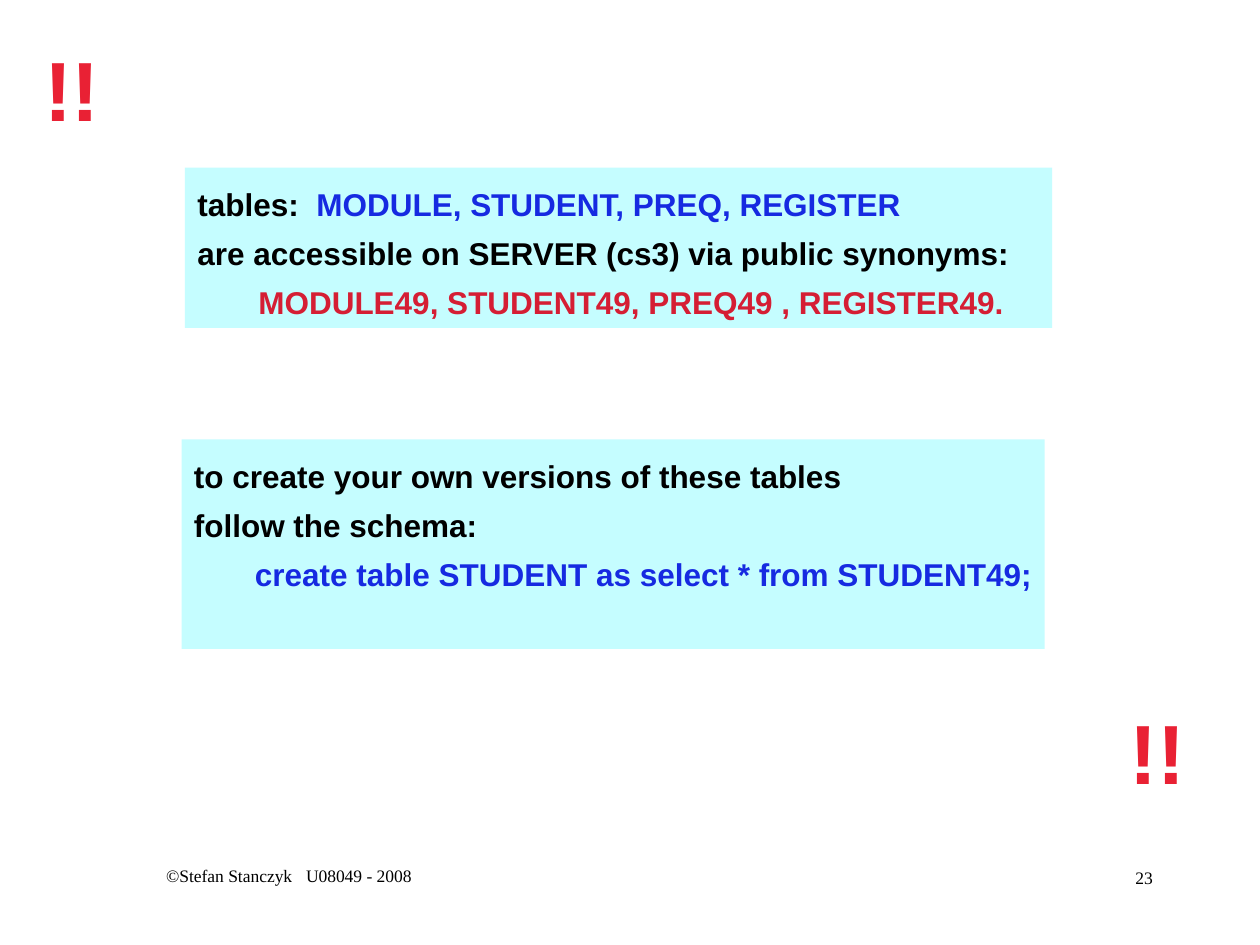
import pptx
import pptx.util
import pptx.dml.color
import pptx.enum.shapes
import pptx.enum.text
import lxml.etree
from pptx.util import Cm

BLACK, BLUE, RED, MARK, PALE = "000000", "162AE1", "D51E34", "E92134", "C5FDFF"
LEFT = pptx.enum.text.PP_ALIGN.LEFT
RIGHT = pptx.enum.text.PP_ALIGN.RIGHT

# Content: each line is (indent in cm, tab stop in cm, [(text, colour), ...])
panels = [
    ((3.73, 3.38, 17.48, 3.23), [
        (0, 2.4, [("tables:\t", BLACK), ("MODULE, STUDENT, PREQ, REGISTER", BLUE)]),
        (0, 0, [("are accessible on SERVER (cs3) via public synonyms:", BLACK)]),
        (1.23, 0, [("MODULE49, STUDENT49, PREQ49 , REGISTER49.", RED)]),
    ]),
    ((3.66, 8.86, 17.4, 4.22), [
        (0, 0, [("to create your own versions of these tables", BLACK)]),
        (0, 0, [("follow the schema:", BLACK)]),
        (1.23, 0, [("create table STUDENT as select * from STUDENT49;", BLUE)]),
    ]),
]
marks = [(0.64, 0.64, 1.63, 2.29), (22.53, 14, 1.63, 2.29)]
footers = [
    ((3.1, 17.32, 6.75, 1.27), 2.82, "©Stefan Stanczyk\tU08049 - 2008", LEFT),
    ((18.21, 17.35, 5.28, 1.27), 0, "23", RIGHT),
]


def color(code):
    return pptx.dml.color.RGBColor.from_string(code)


def style(run, font, size, code, bold=False):
    run.font.name = font
    run.font.size = pptx.util.Pt(size)
    run.font.bold = bold
    run.font.color.rgb = color(code)


def add_tab(para, stop):
    if stop:
        ns = "{http://schemas.openxmlformats.org/drawingml/2006/main}"
        tabs = lxml.etree.SubElement(para._p.get_or_add_pPr(), ns + "tabLst")
        lxml.etree.SubElement(tabs, ns + "tab", pos=str(Cm(stop)), algn="l")


def add_text(place, text, font, size, code, bold=False, stop=0, align=LEFT, wrap=True):
    frame = slide.shapes.add_textbox(*map(Cm, place)).text_frame
    frame.word_wrap = wrap
    para = frame.paragraphs[0]
    para.text = text
    add_tab(para, stop)
    para.alignment = align
    style(para.runs[0], font, size, code, bold)


def add_panel(place, lines):
    kind = pptx.enum.shapes.MSO_SHAPE.RECTANGLE
    panel = slide.shapes.add_shape(kind, *map(Cm, place))
    panel.shadow.inherit = False
    panel.fill.solid()
    panel.fill.fore_color.rgb = color(PALE)
    panel.line.fill.background()
    frame = panel.text_frame
    frame.word_wrap = True
    frame.margin_right = 0
    frame.vertical_anchor = pptx.enum.text.MSO_ANCHOR.TOP
    for row, (indent, stop, parts) in enumerate(lines):
        para = frame.add_paragraph() if row else frame.paragraphs[0]
        add_tab(para, stop)
        para.alignment = LEFT
        para.line_spacing = 1.3
        if indent:
            para._p.get_or_add_pPr().set("marL", str(Cm(indent)))
        for text, code in parts:
            run = para.add_run()
            run.text = text
            style(run, "Arial", 18, code, True)


# Slide
deck = pptx.Presentation()
deck.slide_width, deck.slide_height = Cm(25.4), Cm(19.05)
slide = deck.slides.add_slide(deck.slide_layouts[6])

# Footer and page number
for place, stop, text, align in footers:
    add_text(place, text, "Times New Roman", 10, BLACK, stop=stop, align=align)

# Text panels
for place, lines in panels:
    add_panel(place, lines)

# Exclamation marks in opposite corners
for place in marks:
    add_text(place, "!!", "Arial", 48, MARK, True, wrap=False)

deck.save("out.pptx")
